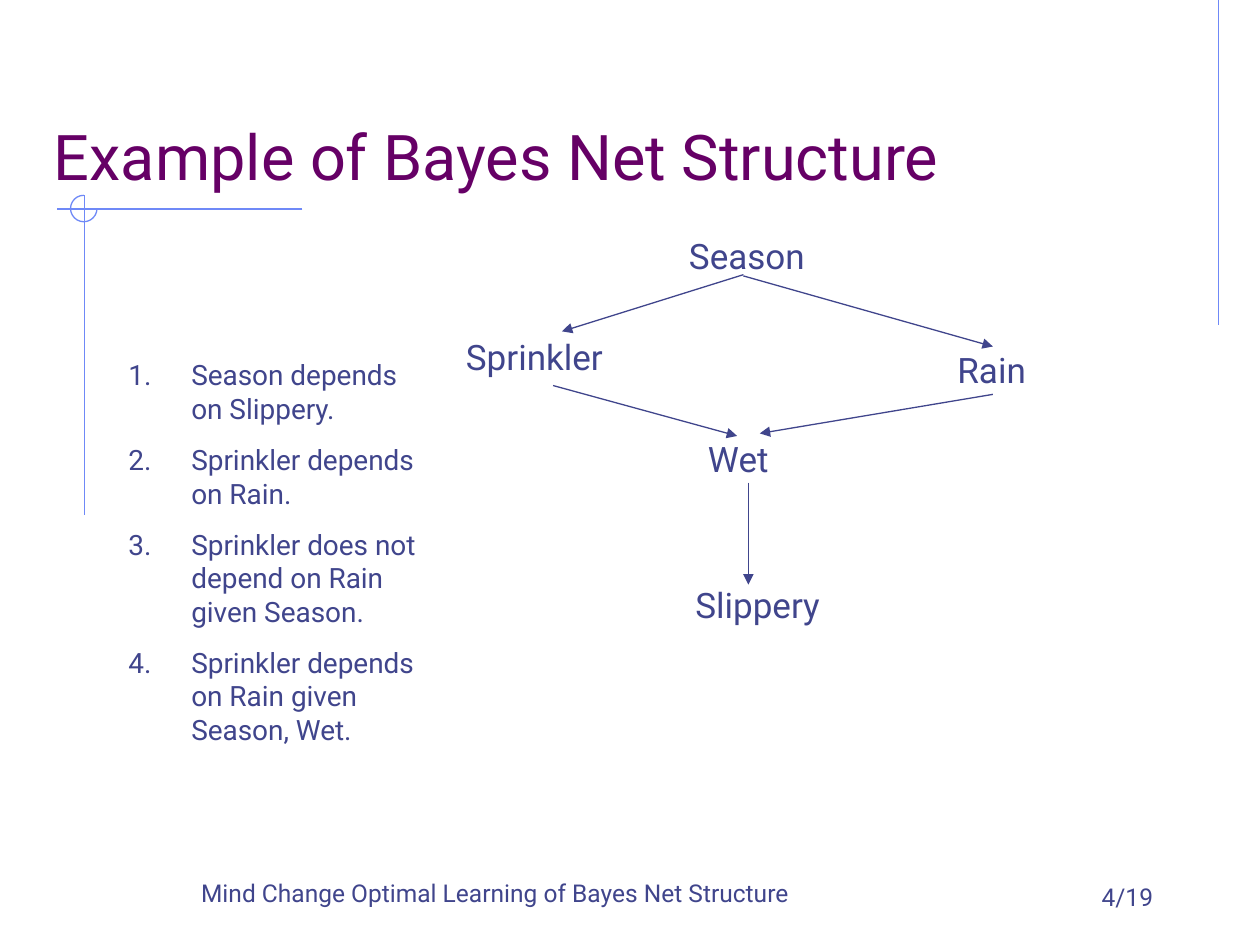
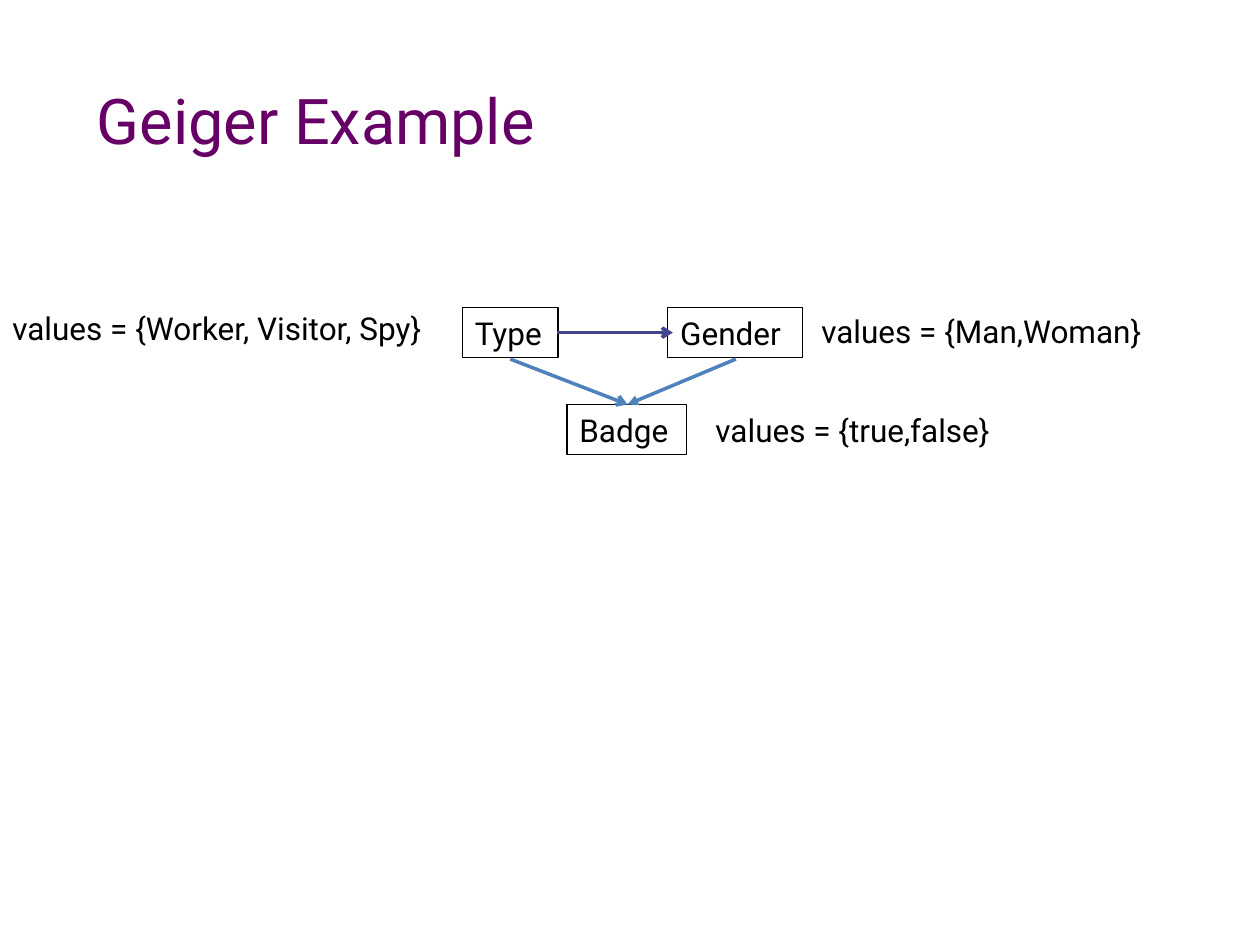
"""Build two slides on Bayes net structure."""
from lxml.etree import SubElement
from pptx import Presentation
from pptx.dml.color import RGBColor
from pptx.enum.shapes import MSO_CONNECTOR, MSO_SHAPE
from pptx.enum.text import MSO_ANCHOR, PP_ALIGN
from pptx.oxml.ns import qn
from pptx.util import Pt

PX = 9144
INK = RGBColor(0x40, 0x45, 0x8C)
PLUM = RGBColor(0x66, 0x00, 0x66)
SKY = RGBColor(0x6F, 0x89, 0xF7)
BLUE = RGBColor(0x4F, 0x81, 0xBD)
BLACK = RGBColor(0, 0, 0)

TITLE = {"name": "Roboto", "size": Pt(36), "color": PLUM}
FOOT = {"name": "Roboto", "size": Pt(14), "color": INK}
NODE = {"name": "Roboto", "size": Pt(20), "color": INK}
ITEM = {"name": "Roboto", "size": Pt(16), "color": INK}
VALUE = {"name": "Roboto", "size": Pt(18), "color": BLACK}


def put(slide, box, lines, style, anchor=MSO_ANCHOR.TOP, align=PP_ALIGN.LEFT, edge=None):
    place = [n * PX for n in box]
    if edge is None:
        shape = slide.shapes.add_textbox(*place)
    else:
        shape = slide.shapes.add_shape(MSO_SHAPE.RECTANGLE, *place)
        shape.shadow.inherit = False
        shape.fill.background()
        shape.line.color.rgb = edge
        shape.line.width = Pt(0.75)
    frame = shape.text_frame
    frame.word_wrap = True
    frame.vertical_anchor = anchor
    for i, line in enumerate(lines):
        para = frame.add_paragraph() if i else frame.paragraphs[0]
        para.text = line
        para.alignment = align
        for run in para.runs:
            for key, val in style.items():
                if key == "color":
                    run.font.color.rgb = val
                else:
                    setattr(run.font, key, val)
    return frame


def link(slide, ends, color, width=0.75, head=None):
    line = slide.shapes.add_connector(MSO_CONNECTOR.STRAIGHT, *[n * PX for n in ends])
    line.line.color.rgb = color
    line.line.width = Pt(width)
    if head:
        SubElement(line.line._get_or_add_ln(), qn("a:tailEnd"), type=head)
    SubElement(line._element.spPr, qn("a:effectLst"))


deck = Presentation()
deck.slide_width = 1000 * PX
deck.slide_height = 750 * PX
net, geiger = [deck.slides.add_slide(deck.slide_layouts[6]) for _ in range(2)]

for slide, box, words in [
    (net, (33, 33, 883, 125), "Example of Bayes Net Structure"),
    (geiger, (67, 33, 850, 97), "Geiger Example"),
]:
    put(slide, box, [words], TITLE, MSO_ANCHOR.BOTTOM)

for ends in [(967, 0, 967, 258), (240, 166, 45, 166), (67, 155, 67, 409)]:
    link(net, ends, SKY)
arc = net.shapes.add_shape(MSO_SHAPE.ARC, *[n * PX for n in (56, 155, 21, 21)])
arc.adjustments[0] = 0
arc.adjustments[1] = 162
arc.shadow.inherit = False
arc.fill.background()
arc.line.color.rgb = SKY
arc.line.width = Pt(0.75)

put(net, (118, 691, 550, 34), ["Mind Change Optimal Learning of Bayes Net Structure"],
    FOOT, MSO_ANCHOR.BOTTOM, PP_ALIGN.CENTER)
put(net, (717, 694, 208, 34), ["4/19"], FOOT, MSO_ANCHOR.BOTTOM, PP_ALIGN.RIGHT)

for word, left, top, wide in [
    ("Season", 537, 181, 114),
    ("Sprinkler", 360, 261, 137),
    ("Rain", 750, 272, 77),
    ("Wet", 552, 342, 71),
    ("Slippery", 542, 458, 125),
]:
    put(net, (left, top, wide, 44), [word], NODE)

for ends in [
    (590, 218, 446, 263),
    (590, 219, 788, 275),
    (439, 306, 585, 346),
    (788, 313, 603, 344),
    (594, 383, 594, 464),
]:
    link(net, ends, INK, head="triangle")

facts = put(net, (92, 279, 264, 319), [
    "Season depends\von Slippery.",
    "Sprinkler depends on Rain.",
    "Sprinkler does not depend on Rain given Season.",
    "Sprinkler depends on Rain given Season, Wet.",
], ITEM)
for para in facts.paragraphs:
    para.space_before = Pt(10)
    props = para._p.get_or_add_pPr()
    props.set("marL", str(50 * PX))
    props.set("indent", str(-50 * PX))
    SubElement(props, qn("a:buFont"), typeface="Roboto")
    SubElement(props, qn("a:buAutoNum"), type="arabicPeriod")

for word, left, top, wide in [
    ("Type", 367, 244, 76),
    ("Gender", 530, 244, 107),
    ("Badge", 450, 321, 95),
]:
    put(geiger, (left, top, wide, 40), [word], VALUE, edge=BLACK)

for ends, color, head in [
    ((584, 285, 498, 321), BLUE, "triangle"),
    ((405, 285, 498, 321), BLUE, "arrow"),
    ((442, 264, 534, 264), INK, "arrow"),
]:
    link(geiger, ends, color, 2, head)

for names, left, top, wide in [
    ("Worker, Visitor, Spy", 0, 240, 370),
    ("Man,Woman", 642, 243, 291),
    ("true,false", 558, 321, 251),
]:
    put(geiger, (left, top, wide, 40), [f"values = {{{names}}}"], VALUE)

deck.save("out.pptx")
